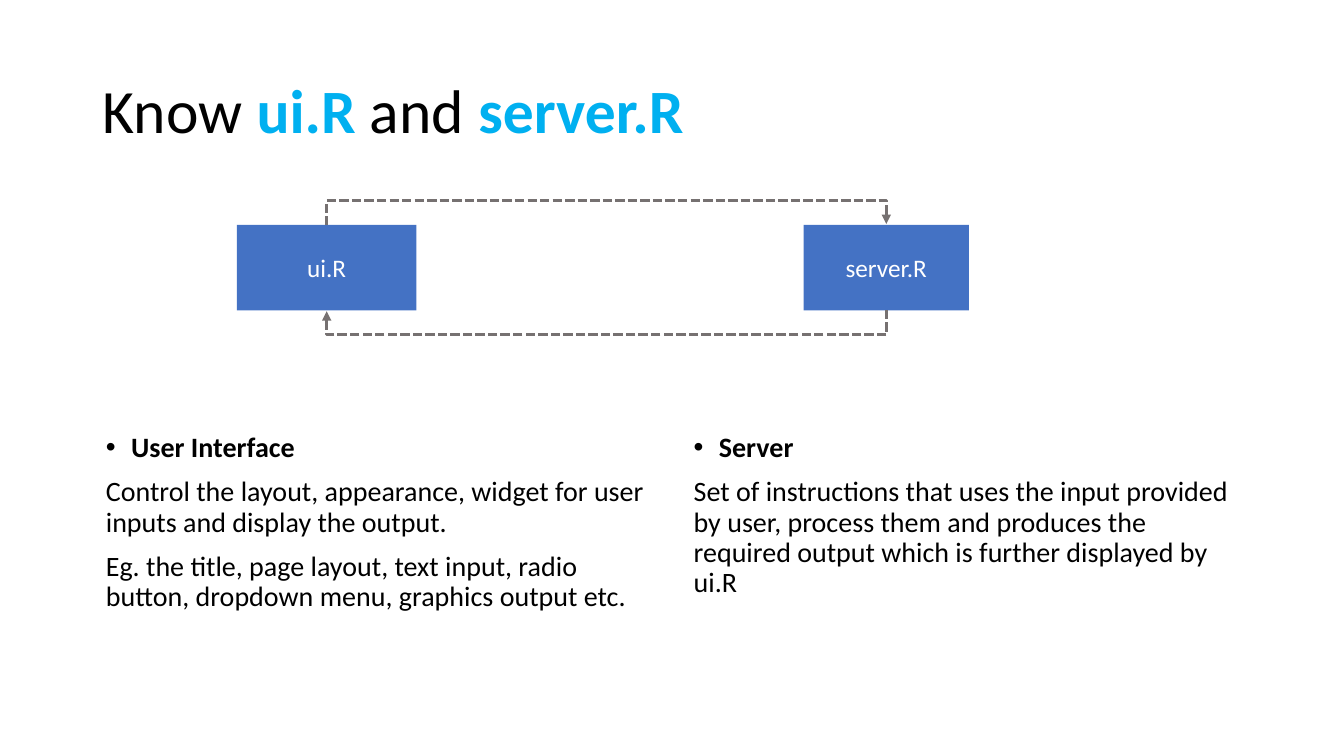
from lxml import etree
from pptx import Presentation, util as u
from pptx.dml.color import RGBColor
from pptx.enum import dml, shapes, text
from pptx.oxml import ns

THEME = {
    "font": "Calibri",
    "ink": "000000", "accent": "00B0F0", "box": "4472C4", "on_box": "FFFFFF", "arrow": "767171",
    "title_size": 44, "body_size": 20, "box_size": 18, "arrow_width": 2.25,
}

TITLE = [("Know ", False), ("ui.R ", True), ("and ", False), ("server.R", True)]
TITLE_AREA = (0.92, 0.4, 11.5, 1.45)

COLUMNS = [
    {"area": (0.95, 4.25, 5.64, 1.96),
     "heading": "User Interface",
     "lines": ["Control the layout, appearance, widget for user inputs and display the output.",
               "Eg. the title, page layout, text input, radio button, dropdown menu, "
               "graphics output etc."]},
    {"area": (6.78, 4.25, 5.67, 1.96),
     "heading": "Server",
     "lines": ["Set of instructions that uses the input provided by user, process them and "
               "produces the required output which is further displayed by ui.R"]},
]

BOXES = [("ui.R", (2.35, 2.23, 1.78, 0.85)), ("server.R", (7.97, 2.23, 1.64, 0.85))]
TOP_SITE, BOTTOM_SITE = 0, 2
ARROW_REACH, ARROW_DEPTH = u.Inches(0.25), u.Pt(1)


def place(shape, area):
    for name, value in zip(("left", "top", "width", "height"), area):
        setattr(shape, name, u.Inches(value))


def add_run(paragraph, words, size, color, bold=False):
    run = paragraph.add_run()
    run.text = words
    formats = {"name": THEME["font"], "size": u.Pt(size), "bold": bold}
    for name, value in formats.items():
        setattr(run.font, name, value)
    run.font.color.rgb = RGBColor.from_string(color)


def format_paragraph(paragraph, **formats):
    for name, value in formats.items():
        setattr(paragraph, name, value)


def set_bullet(paragraph, bulleted):
    properties = paragraph._p.get_or_add_pPr()
    indent = u.Inches(0.25) if bulleted else 0
    properties.set("marL", str(indent))
    properties.set("indent", str(-indent))
    if bulleted:
        etree.SubElement(properties, ns.qn("a:buChar"), char="•")
    else:
        etree.SubElement(properties, ns.qn("a:buNone"))


def fill_title(title):
    place(title, TITLE_AREA)
    frame = title.text_frame
    frame.auto_size = text.MSO_AUTO_SIZE.NONE
    frame.vertical_anchor = text.MSO_ANCHOR.MIDDLE
    paragraph = frame.paragraphs[0]
    format_paragraph(paragraph, alignment=text.PP_ALIGN.LEFT, line_spacing=0.9)
    for words, highlighted in TITLE:
        color = THEME["accent" if highlighted else "ink"]
        add_run(paragraph, words, THEME["title_size"], color, highlighted)


def fill_column(body, column):
    place(body, column["area"])
    frame = body.text_frame
    frame.auto_size = text.MSO_AUTO_SIZE.NONE
    for number, words in enumerate([column["heading"], *column["lines"]]):
        is_heading = number == 0
        paragraph = frame.paragraphs[0] if is_heading else frame.add_paragraph()
        format_paragraph(paragraph, line_spacing=0.9, space_before=u.Pt(10))
        set_bullet(paragraph, is_heading)
        add_run(paragraph, words, THEME["body_size"], THEME["ink"], is_heading)


def add_box(slide, label, area):
    box = slide.shapes.add_shape(shapes.MSO_SHAPE.RECTANGLE, *map(u.Inches, area))
    box.shadow.inherit = False
    box.fill.solid()
    box.fill.fore_color.rgb = RGBColor.from_string(THEME["box"])
    box.line.fill.background()
    box.text_frame.vertical_anchor = text.MSO_ANCHOR.MIDDLE
    paragraph = box.text_frame.paragraphs[0]
    paragraph.alignment = text.PP_ALIGN.CENTER
    add_run(paragraph, label, THEME["box_size"], THEME["on_box"])
    return box


def add_loop_arrow(slide, source, target, site):
    """Join the same side of two boxes by a dashed elbow that bows away from them."""
    arrow = slide.shapes.add_connector(shapes.MSO_CONNECTOR.ELBOW, 0, 0, 0, 0)
    arrow.begin_connect(source, site)
    arrow.end_connect(target, site)

    # A quarter turn makes the elbow's middle leg horizontal.
    centers = [box.left + box.width // 2 for box in (source, target)]
    span = abs(centers[1] - centers[0])
    edge = source.top + (source.height if site == BOTTOM_SITE else 0)
    arrow.left = sum(centers) // 2 - ARROW_DEPTH // 2
    arrow.top = edge - span // 2
    arrow.width, arrow.height = ARROW_DEPTH, span
    properties = arrow._element.spPr
    flip = "1" if site == TOP_SITE else "0"
    for name, value in {"rot": "5400000", "flipH": flip, "flipV": flip}.items():
        properties.find(ns.qn("a:xfrm")).set(name, value)
    guides = properties.find(ns.qn("a:prstGeom")).find(ns.qn("a:avLst"))
    bend = ARROW_REACH * 100000 // ARROW_DEPTH
    etree.SubElement(guides, ns.qn("a:gd"), name="adj1", fmla=f"val {bend}")

    arrow.line.color.rgb = RGBColor.from_string(THEME["arrow"])
    arrow.line.width = u.Pt(THEME["arrow_width"])
    arrow.line.dash_style = dml.MSO_LINE.SQUARE_DOT
    etree.SubElement(properties.find(ns.qn("a:ln")), ns.qn("a:tailEnd"), type="triangle")
    etree.SubElement(properties, ns.qn("a:effectLst"))


def main():
    presentation = Presentation()
    presentation.slide_width, presentation.slide_height = u.Inches(13.33), u.Inches(7.5)
    two_content = presentation.slide_layouts[3]
    slide = presentation.slides.add_slide(two_content)

    fill_title(slide.shapes.title)
    for index, column in enumerate(COLUMNS, start=1):
        fill_column(slide.placeholders[index], column)
    interface, server = [add_box(slide, label, area) for label, area in BOXES]
    add_loop_arrow(slide, interface, server, TOP_SITE)
    add_loop_arrow(slide, server, interface, BOTTOM_SITE)

    presentation.save("out.pptx")


if __name__ == "__main__":
    main()
